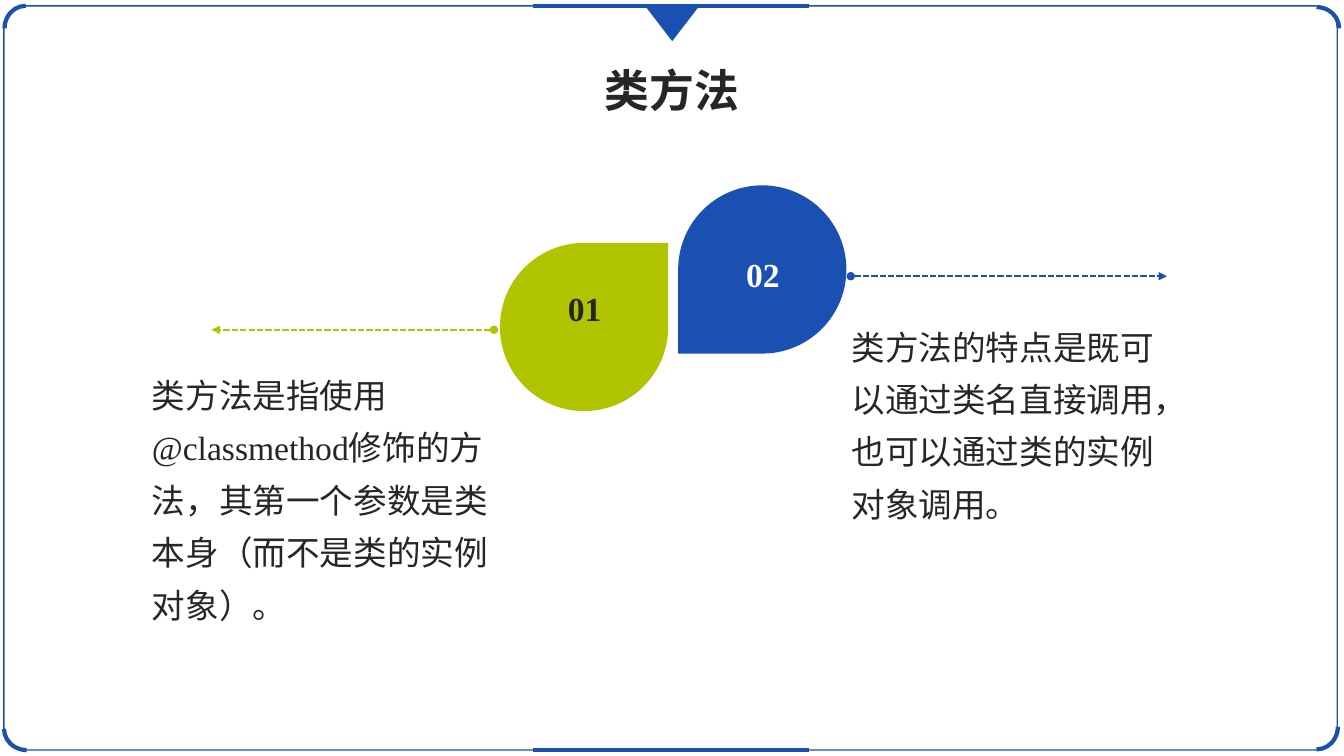
"""Build the slide on class methods with two numbered teardrops."""
import pptx
import pptx.util
import pptx.dml.color
import pptx.enum.dml
import pptx.enum.shapes
import pptx.enum.text
import pptx.oxml
import pptx.oxml.ns
from lxml import etree

Cm = pptx.util.Cm
Pt = pptx.util.Pt
RGB = pptx.dml.color.RGBColor.from_string
SHAPE = pptx.enum.shapes.MSO_SHAPE
ALIGN = pptx.enum.text.PP_ALIGN
ANCHOR = pptx.enum.text.MSO_ANCHOR
qn = pptx.oxml.ns.qn
COLORS = {"blue": "1950B2", "green": "B1C400", "ink": "262626", "white": "FFFFFF"}
CHINESE_FONT = "Noto Sans CJK SC"


def write(holder, text, size=24, font="Times New Roman", color="ink", bold=False,
          align=ALIGN.LEFT, anchor=ANCHOR.TOP, wrap=False, spacing=1.0):
    frame = holder.text_frame
    frame.auto_size = pptx.enum.text.MSO_AUTO_SIZE.NONE
    frame.word_wrap = wrap
    frame.vertical_anchor = anchor
    paragraph = frame.paragraphs[0]
    paragraph.alignment = align
    paragraph.line_spacing = spacing
    run = paragraph.add_run()
    run.text = text
    run.font.size = Pt(size)
    run.font.bold = bold
    run.font.color.rgb = RGB(COLORS[color])
    run.font.name = font
    etree.SubElement(run.font._element, qn("a:ea"), typeface=CHINESE_FONT)


def draw_line(start_x, end_x, y, color, width):
    line = slide.shapes.add_connector(
        pptx.enum.shapes.MSO_CONNECTOR.STRAIGHT, Cm(start_x), Cm(y), Cm(end_x), Cm(y))
    line.line.color.rgb = RGB(COLORS[color])
    line.line.width = Pt(width)
    etree.SubElement(line._element.spPr, qn("a:effectLst"))
    return line


deck = pptx.Presentation()
deck.slide_width = Cm(33.87)
deck.slide_height = Cm(19.05)
slide = deck.slides.add_slide(deck.slide_layouts[5])

title = slide.shapes.title
title.left, title.top, title.width, title.height = Cm(14.96), Cm(1.45), Cm(3.94), Cm(1.63)
write(title, "类方法", size=32, font=CHINESE_FONT, bold=True,
      align=ALIGN.CENTER, anchor=ANCHOR.MIDDLE)

ornaments = [
    (SHAPE.ROUNDED_RECTANGLE, (0.1, 0.15, 33.6, 18.75), 0, None, 1),
    (SHAPE.ARC, (0.08, 0.18, 1.14, 1.07), 270, None, 3),
    (SHAPE.ARC, (0.1, 17.83, 1.14, 1.07), 180, None, 3),
    (SHAPE.ARC, (32.61, 0.18, 1.14, 1.07), 0, None, 3),
    (SHAPE.ARC, (32.61, 17.78, 1.14, 1.07), 90, None, 3),
    (SHAPE.ISOSCELES_TRIANGLE, (16.28, 0.15, 1.32, 0.86), 180, "blue", 1),
    (SHAPE.TEAR, (12.6, 6.12, 4.24, 4.24), 0, "green", 0),
    (SHAPE.TEAR, (17.09, 4.67, 4.24, 4.24), 180, "blue", 0),
]
for kind, box, rotation, fill, outline in ornaments:
    ornament = slide.shapes.add_shape(kind, *map(Cm, box))
    ornament.shadow.inherit = False
    ornament.rotation = rotation
    if kind == SHAPE.ROUNDED_RECTANGLE:
        ornament.adjustments[0] = 0.029
    if fill:
        ornament.fill.solid()
        ornament.fill.fore_color.rgb = RGB(COLORS[fill])
    else:
        ornament.fill.background()
    if outline:
        ornament.line.color.rgb = RGB(COLORS["blue"])
        ornament.line.width = Pt(outline)
    else:
        ornament.line.fill.background()

for edge_y in (0.15, 18.9):
    draw_line(13.44, 20.4, edge_y, "blue", 3)

for start_x, end_x, y, color in [(12.45, 5.33, 8.31, "green"), (21.44, 29.41, 6.96, "blue")]:
    pointer = draw_line(start_x, end_x, y, color, 1.5)
    pointer.line.dash_style = pptx.enum.dml.MSO_LINE.SQUARE_DOT
    outline_xml = pointer.line._get_or_add_ln()
    etree.SubElement(outline_xml, qn("a:headEnd"), type="oval")
    etree.SubElement(outline_xml, qn("a:tailEnd"), type="triangle")

for number, left, top, color in [("01", 14.05, 7.14, "ink"), ("02", 18.54, 6.27, "white")]:
    label = slide.shapes.add_textbox(Cm(left), Cm(top), Cm(1.37), Cm(1.27))
    write(label, number, color=color, bold=True, align=ALIGN.CENTER)

explanations = [
    ("类方法是指使用@classmethod修饰的方法，其第一个参数是类本身（而不是类的实例对象）。",
     (3.58, 9.02, 9.02, 6.78)),
    ("类方法的特点是既可以通过类名直接调用，也可以通过类的实例对象调用。",
     (21.21, 7.8, 8.92, 5.46)),
]
for sentence, box in explanations:
    explanation = slide.shapes.add_textbox(*map(Cm, box))
    write(explanation, sentence, wrap=True, spacing=1.3)

deck.save("out.pptx")
